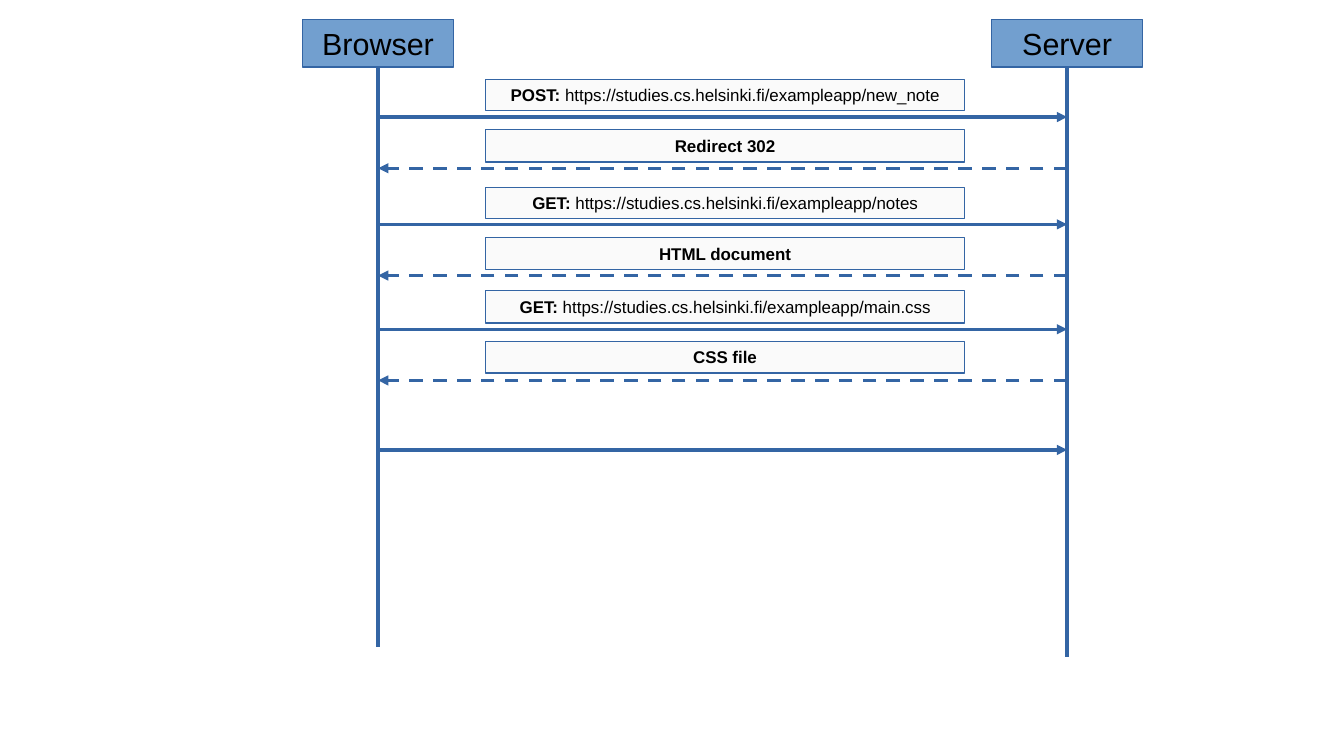
from lxml import etree
from pptx import Presentation
from pptx import util as u
from pptx.dml.color import RGBColor
from pptx.enum import dml, shapes, text
from pptx.oxml.ns import qn

PX = u.Inches(1) // 100
BLUE = RGBColor(0x34, 0x65, 0xA4)
HEADER_FILL = RGBColor(0x72, 0x9F, 0xCF)
LABEL_FILL = RGBColor(0xFA, 0xFA, 0xFA)
BLACK = RGBColor(0, 0, 0)

BROWSER_X, SERVER_X = 310, 875
HEADER_TOP, HEADER_W, HEADER_H = 16, 124, 39
LABEL_X, LABEL_W = 398, 393
URL = " https://studies.cs.helsinki.fi/exampleapp/"

PARTICIPANTS = [("Browser", BROWSER_X, 531), ("Server", SERVER_X, 539)]
REQUESTS = [
    ("POST:", URL + "new_note", 65, 26, 96),
    ("GET:", URL + "notes", 154, 25, 184),
    ("GET:", URL + "main.css", 238, 27, 270),
]
RESPONSES = [
    ("Redirect 302", "", 106, 27, 138),
    ("HTML document", "", 195, 26, 226),
    ("CSS file", "", 280, 26, 312),
]
LAST_REQUEST_Y = 369


def px(*lengths):
    return [n * PX for n in lengths]


def apply(target, values):
    for name, value in values.items():
        setattr(target, name, value)


def style_line(line):
    line.color.rgb = BLUE
    line.width = u.Pt(0)


def add_box(s, bounds, fill, size, runs):
    box = s.shapes.add_shape(shapes.MSO_SHAPE.RECTANGLE, *px(*bounds))
    box.shadow.inherit = False
    box.fill.solid()
    box.fill.fore_color.rgb = fill
    style_line(box.line)
    tf = box.text_frame
    apply(tf, {"word_wrap": True, "vertical_anchor": text.MSO_ANCHOR.MIDDLE})
    p = tf.paragraphs[0]
    p.alignment = text.PP_ALIGN.CENTER
    for words, bold in runs:
        r = p.add_run()
        r.text = words
        apply(r.font, {"name": "Arial", "size": u.Pt(size), "bold": bold})
        r.font.color.rgb = BLACK
    return box


def add_line(s, x1, y1, x2, y2):
    line = s.shapes.add_connector(shapes.MSO_CONNECTOR.STRAIGHT, *px(x1, y1, x2, y2))
    style_line(line.line)
    etree.SubElement(line._element.spPr, qn("a:effectLst"))
    return line


def add_participant(s, name, x, bottom):
    bounds = (x - HEADER_W // 2, HEADER_TOP, HEADER_W, HEADER_H)
    header = add_box(s, bounds, HEADER_FILL, 18, [(name, False)])
    lifeline = add_line(s, x, HEADER_TOP + HEADER_H, x, bottom)
    lifeline.begin_connect(header, 2)


def add_arrow(s, sender_x, receiver_x, y, dashed=False):
    arrow = add_line(s, sender_x, y, receiver_x, y)
    if dashed:
        arrow.line.dash_style = dml.MSO_LINE.DASH
    etree.SubElement(arrow.get_or_add_ln(), qn("a:tailEnd"), type="triangle")


def add_label(s, heading, address, top, height):
    runs = [(heading, True)]
    if address:
        runs.append((address, False))
    add_box(s, (LABEL_X, top, LABEL_W, height), LABEL_FILL, 10, runs)


def main():
    prs = Presentation()
    prs.slide_width, prs.slide_height = px(1102, 620)
    s = prs.slides.add_slide(prs.slide_layouts[6])
    for participant in PARTICIPANTS:
        add_participant(s, *participant)
    for request, response in zip(REQUESTS, RESPONSES):
        add_label(s, *request[:4])
        add_arrow(s, BROWSER_X, SERVER_X, request[4])
        add_label(s, *response[:4])
        add_arrow(s, SERVER_X, BROWSER_X, response[4], dashed=True)
    add_arrow(s, BROWSER_X, SERVER_X, LAST_REQUEST_Y)
    prs.save("out.pptx")


if __name__ == "__main__":
    main()
